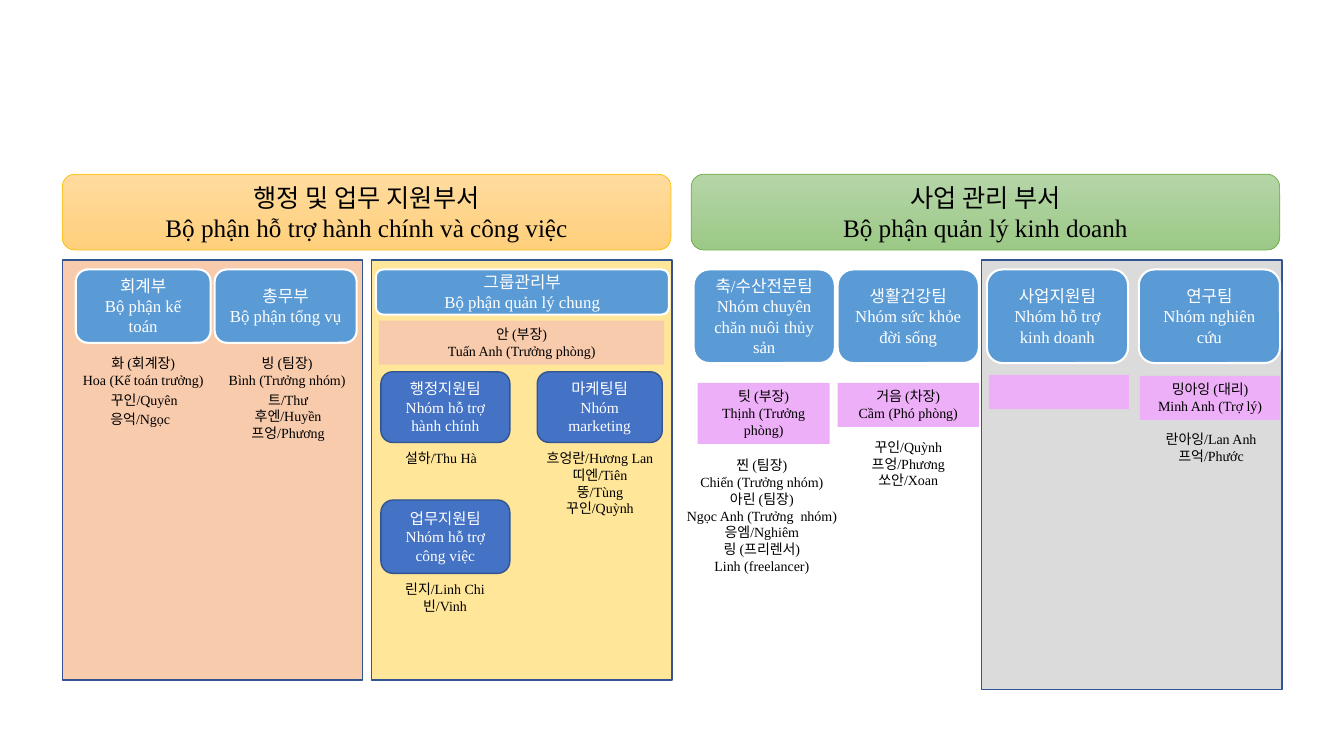
import pptx
import pptx.dml.color
import pptx.enum.shapes
import pptx.enum.text
import pptx.util
from dataclasses import dataclass, field

PANELS = [
    (24.74, 10.82, "gray"),
    (9.37, 10.59, "yellow"),
    (1.57, 10.59, "peach"),
]
DIVISIONS = [
    (1.57, 15.34, "amber", ["행정 및 업무 지원부서", "Bộ phận hỗ trợ hành chính và công việc"]),
    (17.42, 14.83, "green", ["사업 관리 부서", "Bộ phận quản lý kinh doanh"]),
]
DEPARTMENTS = [
    (1.91, 3.4, 1.85, ["회계부", "Bộ phận kế toán"]),
    (9.47, 7.39, 1.14, ["그룹관리부", "Bộ phận quản lý chung"]),
    (5.41, 3.58, 1.85, ["총무부", "Bộ phận tổng vụ"]),
    (24.87, 3.56, 2.36, ["사업지원팀", "Nhóm hỗ trợ kinh doanh"]),
    (21.11, 3.56, 2.36, ["생활건강팀", "Nhóm sức khỏe đời sống"]),
    (17.48, 3.56, 2.36, ["축/수산전문팀", "Nhóm chuyên chăn nuôi thủy sản"]),
    (28.7, 3.56, 2.36, ["연구팀", "Nhóm nghiên cứu"]),
]
TEAMS = [
    (9.6, 9.37, 3.25, 1.78, ["행정지원팀", "Nhóm hỗ trợ hành chính"]),
    (9.6, 12.6, 3.25, 1.85, ["업무지원팀", "Nhóm hỗ trợ công việc"]),
    (13.54, 9.37, 3.15, 1.78, ["마케팅팀", "Nhóm marketing"]),
]
LEADERS = [
    (1.63, 8.81, 3.96, 1.11, "peach", ["화 (회계장)", "Hoa (Kế toán trưởng)"]),
    (5.38, 8.81, 3.71, 1.11, "peach", ["빙 (팀장)", "Bình (Trưởng nhóm)"]),
    (9.55, 8.08, 7.19, 1.11, "peach", ["안 (부장)\nTuấn Anh (Trưởng phòng)"]),
    (17.58, 9.65, 3.33, 1.54, "pink", ["팃 (부장)", "Thịnh (Trưởng phòng)"]),
    (21.11, 9.65, 3.56, 1.11, "pink", ["거음 (차장)", "Cầm (Phó phòng)"]),
    (24.92, 9.45, 3.53, 0.86, "pink", []),
    (28.73, 9.47, 3.53, 1.11, "pink", ["밍아잉 (대리)", "Minh Anh (Trợ lý)"]),
]
MEMBERS = [
    (2.01, 9.75, 3.25, ["꾸인/Quyên"]),
    (1.91, 10.21, 3.25, ["응억/Ngọc"]),
    (5.33, 9.73, 3.86, ["트/Thư", "후엔/Huyền", "프엉/Phương"]),
    (9.45, 11.2, 3.33, ["설하/Thu Hà"]),
    (9.55, 14.5, 3.33, ["린지/Linh Chi", "빈/Vinh"]),
    (12.73, 11.2, 4.78, ["흐엉란/Hương Lan", "띠엔/Tiên", "뚱/Tùng", "꾸인/Quỳnh"]),
    (16.81, 11.38, 4.78, ["찐 (팀장)", "Chiến (Trưởng nhóm)", "아린 (팀장)", "Ngọc Anh (Trưởng  nhóm)",
                          "응엠/Nghiêm", "링 (프리렌서)", "Linh (freelancer)"]),
    (21.11, 10.92, 3.56, ["꾸인/Quỳnh", "프엉/Phương", "쏘안/Xoan"]),
    (28.78, 10.72, 3.48, ["란아잉/Lan Anh", "프억/Phước"]),
]
DIVISION_TOP, DIVISION_HEIGHT = 4.39, 1.91
PANEL_TOP, PANEL_WIDTH = 6.55, 7.57
DEPARTMENT_TOP = 6.79
FIRST_ROW, NEXT_ROW = 0.68, 0.43


@dataclass
class Theme:
    font: str = "Times New Roman"
    sizes: dict = field(default_factory=lambda: {
        "division": 18, "department": 12, "team": 11, "person": 10})
    colors: dict = field(default_factory=lambda: {
        "gray": "DBDBDB", "yellow": "FFE699", "peach": "F8CBAD", "pink": "EDAFF7",
        "sky": "5B9BD5", "blue": "4472C4", "navy": "325491", "white": "FFFFFF", "black": "000000",
        "amber": "FFC000", "green": "70AD47"})
    gradients: dict = field(default_factory=lambda: {
        "amber": ("FFDB9E", "FFD07C"), "green": ("B5D5A7", "9CC987")})

    def color(self, name):
        return pptx.dml.color.RGBColor.from_string(self.colors[name])


THEME = Theme()
RECTANGLE = pptx.enum.shapes.MSO_SHAPE.RECTANGLE
ROUNDED = pptx.enum.shapes.MSO_SHAPE.ROUNDED_RECTANGLE
MIDDLE = pptx.enum.text.MSO_ANCHOR.MIDDLE
TOP = pptx.enum.text.MSO_ANCHOR.TOP


def lengths(*values):
    return [pptx.util.Cm(value) for value in values]


def write(shape, lines, level, color, anchor):
    frame = shape.text_frame
    frame.word_wrap = True
    frame.vertical_anchor = anchor
    if anchor == TOP:
        frame.auto_size = pptx.enum.text.MSO_AUTO_SIZE.SHAPE_TO_FIT_TEXT
    for index, line in enumerate(lines):
        paragraph = frame.add_paragraph() if index else frame.paragraphs[0]
        paragraph.alignment = pptx.enum.text.PP_ALIGN.CENTER
        for part_index, part in enumerate(line.split("\n")):
            if part_index:
                paragraph.add_line_break()
            run = paragraph.add_run()
            run.text = part
            run.font.name = THEME.font
            run.font.size = pptx.util.Pt(THEME.sizes[level])
            run.font.color.rgb = THEME.color(color)


def add_box(slide, kind, box, fill, line=None, line_width=1):
    shape = slide.shapes.add_shape(kind, *lengths(*box))
    shape.shadow.inherit = False
    if fill in THEME.gradients:
        shape.fill.gradient()
        shape.fill.gradient_angle = 270
        for stop, value in zip(shape.fill.gradient_stops, THEME.gradients[fill]):
            stop.color.rgb = pptx.dml.color.RGBColor.from_string(value)
    else:
        shape.fill.solid()
        shape.fill.fore_color.rgb = THEME.color(fill)
    if line:
        shape.line.color.rgb = THEME.color(line)
        shape.line.width = pptx.util.Pt(line_width)
    else:
        shape.line.fill.background()
    return shape


def main():
    presentation = pptx.Presentation()
    presentation.slide_width, presentation.slide_height = lengths(33.87, 19.05)
    slide = presentation.slides.add_slide(presentation.slide_layouts[6])

    for left, height, fill in PANELS:
        add_box(slide, RECTANGLE, (left, PANEL_TOP, PANEL_WIDTH, height), fill, "navy")
    for left, width, color, lines in DIVISIONS:
        box = (left, DIVISION_TOP, width, DIVISION_HEIGHT)
        shape = add_box(slide, ROUNDED, box, color, color, 0.5)
        write(shape, lines, "division", "black", MIDDLE)
    for left, width, height, lines in DEPARTMENTS:
        box = (left, DEPARTMENT_TOP, width, height)
        shape = add_box(slide, ROUNDED, box, "sky", "white", 1.5)
        write(shape, lines, "department", "white", MIDDLE)
    for *box, lines in TEAMS:
        shape = add_box(slide, ROUNDED, box, "blue", "navy")
        write(shape, lines, "team", "white", MIDDLE)
    for *box, fill, lines in LEADERS:
        shape = add_box(slide, RECTANGLE, box, fill)
        if lines:
            write(shape, lines, "person", "black", TOP)
    for left, top, width, lines in MEMBERS:
        height = FIRST_ROW + NEXT_ROW * (len(lines) - 1)
        shape = slide.shapes.add_textbox(*lengths(left, top, width, height))
        write(shape, lines, "person", "black", TOP)

    presentation.save("out.pptx")


if __name__ == "__main__":
    main()
